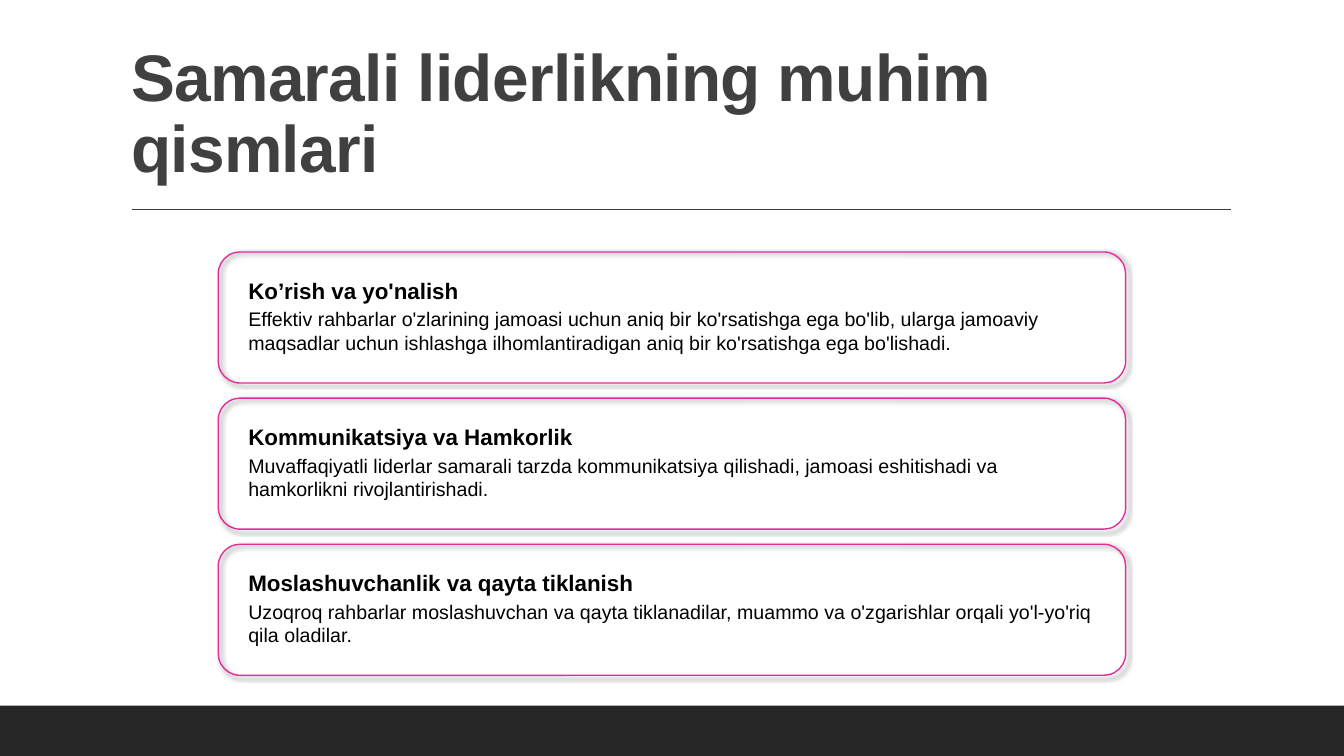
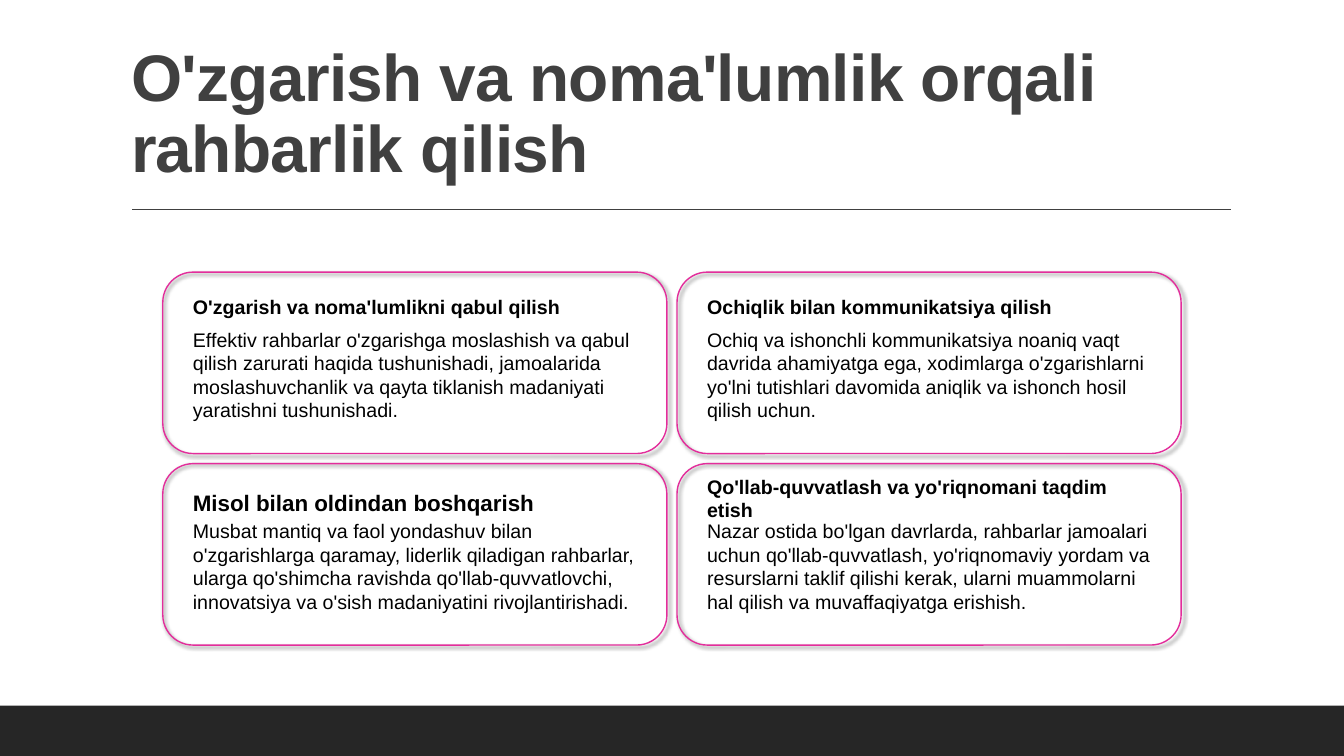
from lxml.etree import SubElement
from pptx import Presentation
from pptx.dml.color import RGBColor
from pptx.enum.shapes import MSO_CONNECTOR as Line, MSO_SHAPE as Shape
from pptx.enum.text import MSO_ANCHOR as Anchor, MSO_AUTO_SIZE as AutoSize, PP_ALIGN as Align
from pptx.oxml.ns import qn
from pptx.util import Inches, Pt


def rgb(code):
    return RGBColor.from_string(code)


def set_all(target, values):
    for name, value in values.items():
        setattr(target, name, value)


class Deck:
    FONT = "Arial"
    DARK, GREY, PINK, BLACK = "262626", "404040", "E32D9B", "000000"
    COLS, ROWS = 133.3, 75
    PAD, BODY_ROW = 2, 5

    def __init__(self):
        self.prs = Presentation()
        set_all(self.prs, {"slide_width": self.u(self.COLS), "slide_height": self.u(self.ROWS)})

    @staticmethod
    def u(cells):
        return Inches(cells / 10)

    def box(self, *cells):
        return [self.u(c) for c in cells]

    def slide(self, title):
        self.s = self.prs.slides.add_slide(self.prs.slide_layouts[5])
        self.band()
        self.rule()
        self.title(title)

    def band(self):
        sp = self.s.shapes.add_shape(Shape.RECTANGLE, *self.box(0, 70, self.COLS, 5))
        sp.shadow.inherit = False
        sp.fill.solid()
        sp.fill.fore_color.rgb = rgb(self.DARK)
        sp.line.fill.background()

    def rule(self):
        cx = self.s.shapes.add_connector(Line.STRAIGHT, *self.box(13.1, 20.8, 122.1, 20.8))
        self.outline(cx, self.GREY)
        SubElement(cx._element.spPr, qn("a:effectLst"))

    def outline(self, sp, color):
        sp.line.width = Pt(1)
        sp.line.color.rgb = rgb(color)

    def style_run(self, tf, text, size, bold, color):
        p = tf.paragraphs[0]
        p.alignment = Align.LEFT
        r = p.add_run()
        r.text = text
        set_all(r.font, {"name": self.FONT, "size": Pt(size), "bold": bold})
        r.font.color.rgb = rgb(color)
        return p, r

    def title(self, text):
        sp = self.s.shapes.title
        set_all(sp, dict(zip(("left", "top", "width", "height"), self.box(12, 3.1, 110, 15.9))))
        tf = sp.text_frame
        set_all(tf, {"word_wrap": True, "auto_size": AutoSize.NONE, "vertical_anchor": Anchor.BOTTOM})
        p, r = self.style_run(tf, text, 47, True, self.GREY)
        p.line_spacing = 0.9
        r.font._element.set("spc", "-50")

    def text(self, x, y, w, h, text, size, bold=False):
        tf = self.s.shapes.add_textbox(*self.box(x, y, w, h)).text_frame
        set_all(tf, {"word_wrap": True, "auto_size": AutoSize.SHAPE_TO_FIT_TEXT})
        self.style_run(tf, text, size, bold, self.BLACK)

    def frame(self, x, y, w, h):
        sp = self.s.shapes.add_shape(Shape.ROUNDED_RECTANGLE, *self.box(x, y, w, h))
        sp.fill.background()
        self.outline(sp, self.PINK)
        sp.shadow.inherit = False
        effects = sp._element.spPr.find(qn("a:effectLst"))
        shadow = SubElement(effects, qn("a:outerShdw"), blurRad=str(Pt(3)), dist=str(Pt(2)),
                            dir="2700000", algn="tl", rotWithShape="0")
        color = SubElement(shadow, qn("a:srgbClr"), val=self.BLACK)
        SubElement(color, qn("a:alpha"), val="60000")

    def cards(self, cols, top, w, h, gap, items):
        left = (self.COLS - cols * w - (cols - 1) * gap) / 2
        for i, (heading, size, drop, body) in enumerate(items):
            row, col = divmod(i, cols)
            x, y = left + col * (w + gap), top + row * (h + gap)
            inner = w - 2 * self.PAD
            self.frame(x, y, w, h)
            self.text(x + self.PAD, y + drop, inner, 3, heading, size, True)
            self.text(x + self.PAD, y + self.BODY_ROW, inner, h - 7, body, 14)


def main():
    deck = Deck()

    deck.slide("Samarali liderlikning muhim qismlari")
    deck.cards(1, 25, 90, 13, 1.5, [
        ("Ko’rish va yo'nalish", 16, 2,
         "Effektiv rahbarlar o'zlarining jamoasi uchun aniq bir ko'rsatishga ega bo'lib, ularga "
         "jamoaviy maqsadlar uchun ishlashga ilhomlantiradigan aniq bir ko'rsatishga ega bo'lishadi."),
        ("Kommunikatsiya va Hamkorlik", 16, 2,
         "Muvaffaqiyatli liderlar samarali tarzda kommunikatsiya qilishadi, jamoasi eshitishadi va "
         "hamkorlikni rivojlantirishadi."),
        ("Moslashuvchanlik va qayta tiklanish", 16, 2,
         "Uzoqroq rahbarlar moslashuvchan va qayta tiklanadilar, muammo va o'zgarishlar orqali "
         "yo'l-yo'riq qila oladilar."),
    ])

    deck.slide("O'zgarish va noma'lumlik orqali rahbarlik qilish")
    deck.cards(2, 27, 50, 18, 1, [
        ("O'zgarish va noma'lumlikni qabul qilish", 14, 1.8,
         "Effektiv rahbarlar o'zgarishga moslashish va qabul qilish zarurati haqida tushunishadi, "
         "jamoalarida moslashuvchanlik va qayta tiklanish madaniyati yaratishni tushunishadi."),
        ("Ochiqlik bilan kommunikatsiya qilish", 14, 1.8,
         "Ochiq va ishonchli kommunikatsiya noaniq vaqt davrida ahamiyatga ega, xodimlarga "
         "o'zgarishlarni yo'lni tutishlari davomida aniqlik va ishonch hosil qilish uchun."),
        ("Misol bilan oldindan boshqarish", 16, 2,
         "Musbat mantiq va faol yondashuv bilan o'zgarishlarga qaramay, liderlik qiladigan rahbarlar, "
         "ularga qo'shimcha ravishda qo'llab-quvvatlovchi, innovatsiya va o'sish madaniyatini "
         "rivojlantirishadi."),
        ("Qo'llab-quvvatlash va yo'riqnomani taqdim etish", 14, 0.6,
         "Nazar ostida bo'lgan davrlarda, rahbarlar jamoalari uchun qo'llab-quvvatlash, yo'riqnomaviy "
         "yordam va resurslarni taklif qilishi kerak, ularni muammolarni hal qilish va "
         "muvaffaqiyatga erishish."),
    ])

    deck.prs.save("out.pptx")


if __name__ == "__main__":
    main()
